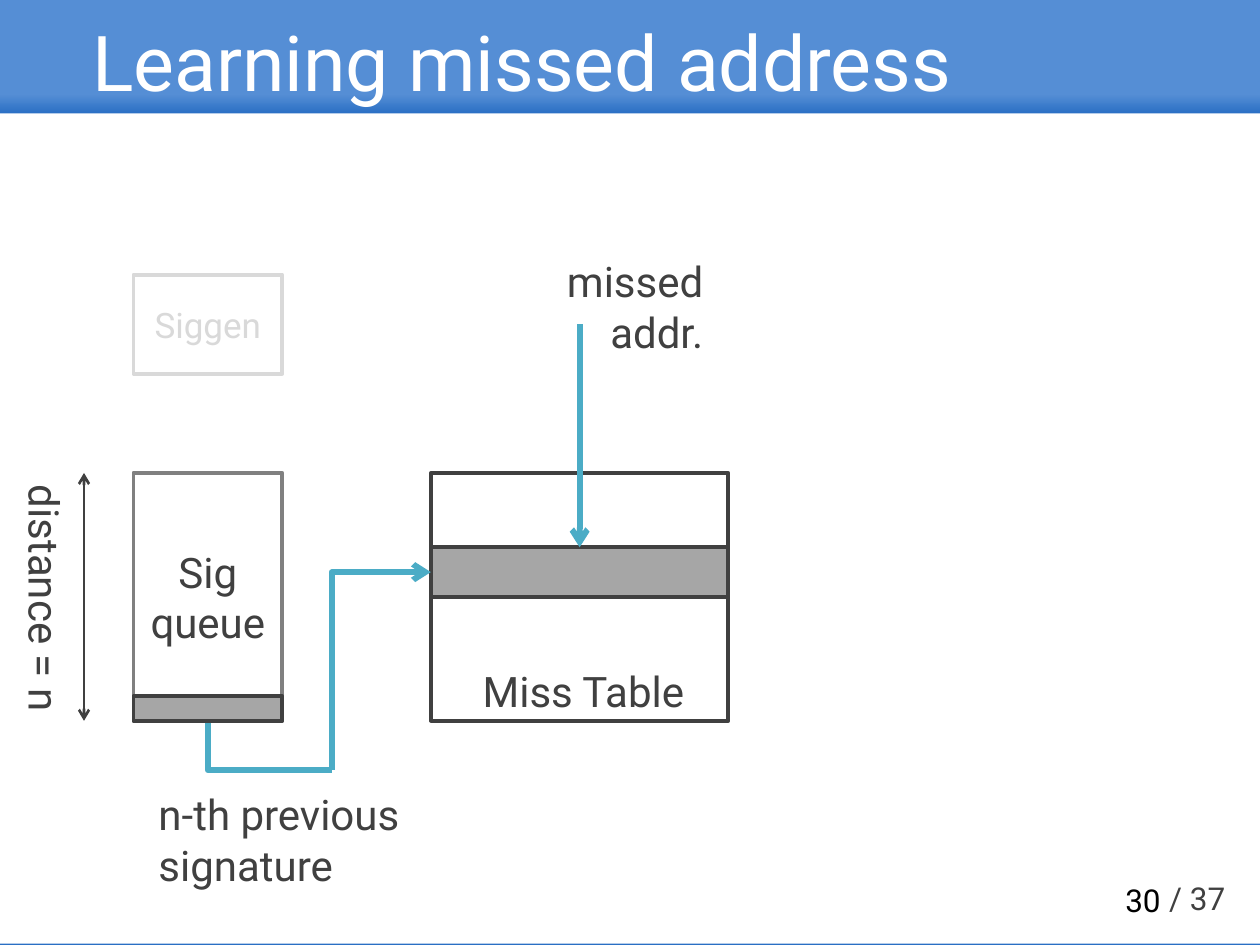
from dataclasses import dataclass

from lxml.etree import SubElement
from pptx import Presentation
from pptx.dml.color import RGBColor
from pptx.enum.shapes import MSO_CONNECTOR, MSO_SHAPE
from pptx.enum.text import MSO_ANCHOR, PP_ALIGN
from pptx.oxml.ns import qn
from pptx.util import Inches, Pt


@dataclass(frozen=True)
class Theme:
    font: str = "Roboto"
    sky: str = "558ED5"
    deep_sky: str = "2A6FC4"
    white: str = "FFFFFF"
    black: str = "000000"
    ink: str = "404040"
    grey: str = "808080"
    faded: str = "D9D9D9"
    entry: str = "A6A6A6"
    flow: str = "4BACC6"
    title_size: int = 44
    label_size: int = 24
    small_size: int = 20
    page_size: int = 18
    box_line: float = 2.25
    flow_line: float = 3.25
    span_line: float = 1.5


THEME = Theme()


@dataclass(frozen=True)
class Grid:
    """Square cells, counted from the top left corner of the diagram."""
    left: float
    top: float
    cell: float

    def point(self, col, row):
        return Inches(self.left + col * self.cell), Inches(self.top + row * self.cell)

    def box(self, col, row, cols, rows):
        return *self.point(col, row), Inches(cols * self.cell), Inches(rows * self.cell)


def inches(*lengths):
    return tuple(Inches(length) for length in lengths)


def write(frame, lines, size, color, align=PP_ALIGN.LEFT, anchor=MSO_ANCHOR.TOP):
    """Each line is a paragraph; a tuple is one paragraph with line breaks."""
    frame.word_wrap = True
    frame.vertical_anchor = anchor
    for index, line in enumerate(lines):
        paragraph = frame.add_paragraph() if index else frame.paragraphs[0]
        paragraph.alignment = align
        pieces = line if isinstance(line, tuple) else (line,)
        for number, piece in enumerate(pieces):
            if number:
                paragraph.add_line_break()
            run = paragraph.add_run()
            run.text = piece
            run.font.name = THEME.font
            run.font.size = Pt(size)
            run.font.color.rgb = RGBColor.from_string(color)


def add_label(slide, box, lines, size=THEME.label_size, color=THEME.ink, **layout):
    label = slide.shapes.add_textbox(*box)
    write(label.text_frame, lines, size, color, **layout)
    return label


def add_block(slide, box, fill, line=None):
    block = slide.shapes.add_shape(MSO_SHAPE.RECTANGLE, *box)
    block.shadow.inherit = False
    block.fill.solid()
    block.fill.fore_color.rgb = RGBColor.from_string(fill)
    if line:
        block.line.color.rgb = RGBColor.from_string(line)
        block.line.width = Pt(THEME.box_line)
    else:
        block.line.fill.background()
    return block


def add_line(slide, start, end, color, width, arrows=(), bent=False):
    """A bent line leaves its start sideways and turns once."""
    kind = MSO_CONNECTOR.ELBOW if bent else MSO_CONNECTOR.STRAIGHT
    line = slide.shapes.add_connector(kind, *start, *end)
    line.line.color.rgb = RGBColor.from_string(color)
    line.line.width = Pt(width)
    properties = line.element.spPr
    if bent:
        properties.find(qn("a:prstGeom")).set("prst", "bentConnector2")
    for arrow in arrows:
        SubElement(properties.find(qn("a:ln")), qn(f"a:{arrow}"), type="arrow")
    SubElement(properties, qn("a:effectLst"))


def add_page(slide, box):
    # Blue band behind a white panel
    left, top, width, height = box
    background = slide.background.fill
    background.gradient()
    background.gradient_angle = 270
    stops = zip(background.gradient_stops, (0.1, 0.12), (THEME.sky, THEME.deep_sky))
    for stop, position, color in stops:
        stop.position = position
        stop.color.rgb = RGBColor.from_string(color)
    add_block(slide, (left, top + int(height * 0.12), width, int(height * 0.8787)),
              THEME.white)

    # Page number
    add_label(slide, inches(9.18, 6.93, 0.82, 0.4), ["/ 37"], THEME.page_size)
    add_label(slide, inches(7.06, 6.94, 2.25, 0.4), ["30"], THEME.page_size,
              THEME.black, align=PP_ALIGN.RIGHT, anchor=MSO_ANCHOR.MIDDLE)


def add_title(slide, box):
    title = slide.shapes.title
    title.left, title.top, title.width, title.height = box
    frame = title.text_frame
    frame.margin_left = frame.margin_right = Inches(0.04)
    frame.margin_top = frame.margin_bottom = Inches(0.04)
    write(frame, ["Learning missed address"], THEME.title_size, THEME.white,
          anchor=MSO_ANCHOR.MIDDLE)
    frame.paragraphs[0].line_spacing = 0.9


def add_signatures(slide, grid):
    centred = {"align": PP_ALIGN.CENTER, "anchor": MSO_ANCHOR.MIDDLE}
    siggen = add_block(slide, grid.box(0, 0, 6, 4), THEME.white, THEME.faded)
    write(siggen.text_frame, ["Siggen"], THEME.small_size, THEME.faded, **centred)
    queue = add_block(slide, grid.box(0, 8, 6, 10), THEME.white, THEME.grey)
    write(queue.text_frame, [("Sig", "queue")], THEME.label_size, THEME.ink, **centred)


def add_miss_table(slide, grid):
    add_block(slide, grid.box(12, 8, 12, 10), THEME.white, THEME.ink)
    add_block(slide, grid.box(12, 11, 12, 2), THEME.entry, THEME.ink)
    add_label(slide, inches(3.62, 1.98, 2.06, 0.91), ["missed addr."],
              align=PP_ALIGN.RIGHT)
    add_label(slide, inches(3.52, 5.23, 2.22, 0.5), ["Miss Table"],
              align=PP_ALIGN.CENTER)


def add_flow(slide, grid):
    style = THEME.flow, THEME.flow_line
    # Missed address into the table entry
    add_line(slide, grid.point(18, 2), grid.point(18, 11), *style, ["tailEnd"])
    # Oldest signature into the table entry, in two bends
    add_line(slide, grid.point(12, 12), grid.point(8, 20), *style, ["headEnd"], bent=True)
    add_line(slide, grid.point(8, 20), grid.point(3, 18), *style, bent=True)
    add_block(slide, grid.box(0, 17, 6, 1), THEME.entry, THEME.ink)
    add_label(slide, inches(1.16, 6.21, 2.27, 0.91), ["n-th previous", "signature"])


def add_distance(slide, grid):
    add_line(slide, grid.point(-2, 8), grid.point(-2, 18), THEME.ink, THEME.span_line,
             ["headEnd", "tailEnd"])
    # Tall enough to hold the label on one line
    distance = add_label(slide, inches(0, 3.75, 0.61, 2.2), ["distance = n"])
    distance.text_frame._txBody.bodyPr.set("vert", "vert")


def main():
    deck = Presentation()
    deck.slide_width, deck.slide_height = inches(10, 7.5)
    slide = deck.slides.add_slide(deck.slide_layouts[5])
    add_page(slide, (0, 0, deck.slide_width, deck.slide_height))
    # The title lies above the panel
    slide.shapes._spTree.append(slide.shapes.title.element)
    add_title(slide, inches(0.69, 0.15, 8.62, 0.76))
    diagram = Grid(left=1.06, top=2.18, cell=0.1967)
    for add_region in (add_signatures, add_miss_table, add_flow, add_distance):
        add_region(slide, diagram)
    deck.save("out.pptx")


if __name__ == "__main__":
    main()
